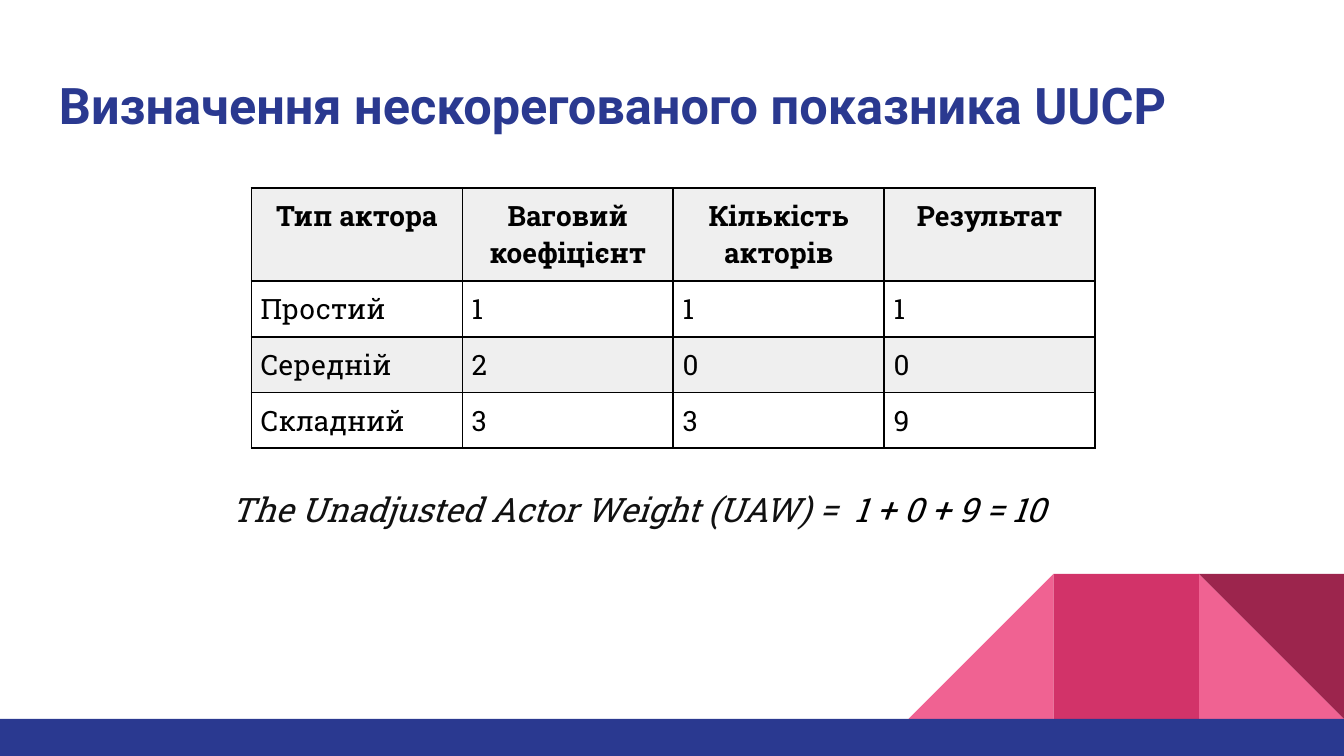
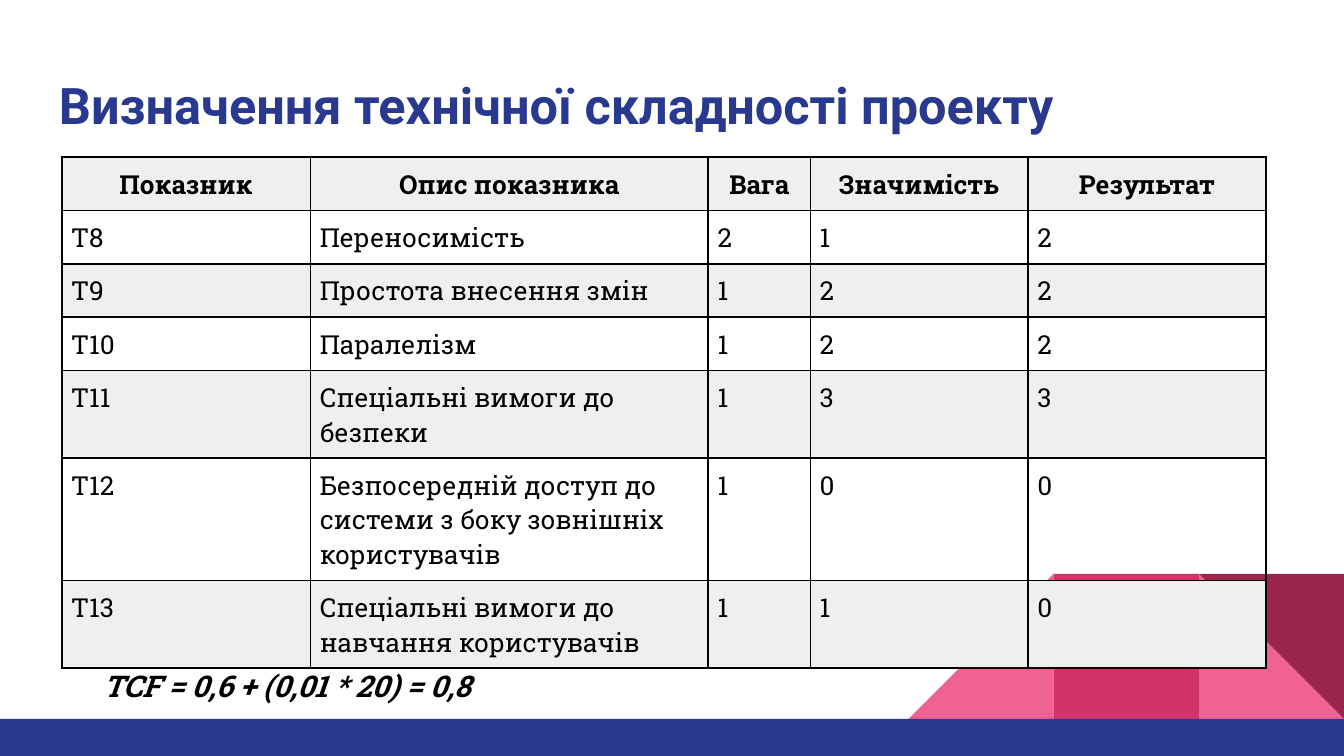
from dataclasses import dataclass

from lxml import etree
from pptx import Presentation
from pptx.dml.color import RGBColor
from pptx.enum.shapes import MSO_SHAPE
from pptx.enum.text import PP_ALIGN
from pptx.oxml.ns import qn
from pptx.slide import Slide
from pptx.table import _Cell
from pptx.text.text import _Paragraph
from pptx.util import Emu, Inches, Pt

RECTANGLE = MSO_SHAPE.RECTANGLE
TRIANGLE = MSO_SHAPE.RIGHT_TRIANGLE
CENTER, LEFT = PP_ALIGN.CENTER, PP_ALIGN.LEFT

COLORS = {
    "background": "FFFFFF",
    "navy": "2A3990",
    "pink": "F06292",
    "rose": "D23369",
    "wine": "9C254D",
    "band": "EFEFEF",
    "black": "000000",
    "ink": "111111",
}
TITLE_FONT, BODY_FONT = "Roboto", "Roboto Slab"

SLIDE_WIDTH, SLIDE_HEIGHT = Inches(10), Inches(5.625)
CELL_MARGIN = Inches(0.07)
BORDER_WIDTH = Pt(1)
LINE_FACTOR = 1.32  # line height of the body font, relative to its size

# Decoration grid, in percent of the slide: three columns above the footer.
FOOTER_TOP = 95.1
BLOCK_WIDTH, BLOCK_HEIGHT = 10.8, 19.2


@dataclass(frozen=True)
class Box:
    """A place on the slide, in percent of its width and height."""
    left: float
    top: float
    width: float
    height: float

    def emu(self) -> tuple[Emu, Emu, Emu, Emu]:
        return (across(self.left), down(self.top),
                across(self.width), down(self.height))


@dataclass(frozen=True)
class Block:
    column: int
    preset: MSO_SHAPE
    color: str
    rotation: int = 0


@dataclass(frozen=True)
class TextStyle:
    font: str
    size: float
    color: str = "black"
    bold: bool = False
    italic: bool = False


@dataclass(frozen=True)
class TextPart:
    text: str
    style: TextStyle


@dataclass(frozen=True)
class TableSpec:
    """Place and column widths in percent; lines counts text lines per row."""
    left: float
    top: float
    columns: tuple[float, ...]
    size: float
    lines: tuple[int, ...]
    rows: tuple[tuple[str, ...], ...]


@dataclass(frozen=True)
class SlideSpec:
    title: str
    table: TableSpec
    formula_box: Box
    formula: tuple[TextPart, ...]


TITLE_BOX = Box(3.4, 8, 93.2, 11.73)
TITLE_STYLE = TextStyle(TITLE_FONT, 27, "navy", bold=True)

BLOCKS = (
    Block(2, TRIANGLE, "pink"),
    Block(0, TRIANGLE, "pink", rotation=270),
    Block(1, RECTANGLE, "rose"),
    Block(2, TRIANGLE, "wine", rotation=180),
)

SLIDES = (
    SlideSpec(
        title="Визначення нескорегованого показника UUCP",
        table=TableSpec(
            left=18.7, top=24.9, columns=(15.7,) * 4, size=15,
            lines=(2, 1, 1, 1),
            rows=(
                ("Тип актора", "Ваговий коефіцієнт", "Кількість акторів", "Результат"),
                ("Простий", "1", "1", "1"),
                ("Середній", "2", "0", "0"),
                ("Складний", "3", "3", "9"),
            ),
        ),
        formula_box=Box(16.2, 62.04, 67.6, 8.9),
        formula=(
            TextPart("The Unadjusted Actor Weight (UAW) = ",
                     TextStyle(BODY_FONT, 18, "ink", italic=True)),
            TextPart(" 1 + 0 + 9 = 10", TextStyle(BODY_FONT, 18, italic=True)),
        ),
    ),
    SlideSpec(
        title="Визначення технічної складності проекту",
        table=TableSpec(
            left=4.6, top=20.8, columns=(18.5, 29.6, 7.6, 16.2, 17.7), size=14,
            lines=(1, 1, 1, 1, 2, 3, 2),
            rows=(
                ("Показник", "Опис показника", "Вага", "Значимість", "Результат"),
                ("T8", "Переносимість", "2", "1", "2"),
                ("T9", "Простота внесення змін", "1", "2", "2"),
                ("T10", "Паралелізм", "1", "2", "2"),
                ("T11", "Спеціальні вимоги до безпеки", "1", "3", "3"),
                ("T12", "Безпосередній доступ до системи з боку зовнішніх користувачів",
                 "1", "0", "0"),
                ("T13", "Спеціальні вимоги до навчання користувачів", "1", "1", "0"),
            ),
        ),
        formula_box=Box(6.7, 85.87, 38.5, 8.36),
        formula=(
            TextPart("TCF = 0,6 + (0,01 * 20) = 0,8",
                     TextStyle(BODY_FONT, 16, bold=True, italic=True)),
        ),
    ),
)


def across(percent: float) -> Emu:
    return Emu(round(SLIDE_WIDTH * percent / 100))


def down(percent: float) -> Emu:
    return Emu(round(SLIDE_HEIGHT * percent / 100))


def rgb(name: str) -> RGBColor:
    return RGBColor.from_string(COLORS[name])


def add_run(paragraph: _Paragraph, part: TextPart) -> None:
    run = paragraph.add_run()
    run.text = part.text
    font = run.font
    font.name = part.style.font
    font.size = Pt(part.style.size)
    font.bold = part.style.bold
    font.italic = part.style.italic
    font.color.rgb = rgb(part.style.color)


def add_text(slide: Slide, box: Box, parts: tuple[TextPart, ...],
             line_spacing: float = 1.0) -> None:
    frame = slide.shapes.add_textbox(*box.emu()).text_frame
    frame.word_wrap = True
    frame.margin_left = frame.margin_right = Inches(0.1)
    frame.margin_top = frame.margin_bottom = Inches(0.1)
    paragraph = frame.paragraphs[0]
    paragraph.line_spacing = line_spacing
    for part in parts:
        add_run(paragraph, part)


def add_filled_shape(slide: Slide, preset: MSO_SHAPE, box: Box, color: str,
                     rotation: int = 0) -> None:
    shape = slide.shapes.add_shape(preset, *box.emu())
    shape.shadow.inherit = False
    shape.fill.solid()
    shape.fill.fore_color.rgb = rgb(color)
    shape.line.fill.background()
    shape.rotation = rotation


def add_decoration(slide: Slide) -> None:
    for block in BLOCKS:
        box = Box(100 - (3 - block.column) * BLOCK_WIDTH,
                  FOOTER_TOP - BLOCK_HEIGHT, BLOCK_WIDTH, BLOCK_HEIGHT)
        add_filled_shape(slide, block.preset, box, block.color, block.rotation)
    footer = Box(0, FOOTER_TOP, 100, 100 - FOOTER_TOP)
    add_filled_shape(slide, RECTANGLE, footer, "navy")


def add_borders(cell: _Cell) -> None:
    """Must run before the cell is filled, as lines precede the fill in XML."""
    properties = cell._tc.get_or_add_tcPr()
    for side in ("a:lnL", "a:lnR", "a:lnT", "a:lnB"):
        line = etree.SubElement(properties, qn(side), w=str(BORDER_WIDTH))
        fill = etree.SubElement(line, qn("a:solidFill"))
        etree.SubElement(fill, qn("a:srgbClr"), val=COLORS["black"])


def format_cell(cell: _Cell, text: str, row: int, size: float) -> None:
    is_header = row == 0
    cell.margin_left = cell.margin_right = CELL_MARGIN
    cell.margin_top = cell.margin_bottom = CELL_MARGIN
    add_borders(cell)
    if row % 2 == 0:
        cell.fill.solid()
        cell.fill.fore_color.rgb = rgb("band")
    else:
        cell.fill.background()
    paragraph = cell.text_frame.paragraphs[0]
    paragraph.alignment = CENTER if is_header else LEFT
    add_run(paragraph, TextPart(text, TextStyle(BODY_FONT, size, bold=is_header)))


def add_data_table(slide: Slide, spec: TableSpec) -> None:
    heights = [2 * CELL_MARGIN + Pt(spec.size * LINE_FACTOR * count)
               for count in spec.lines]
    table = slide.shapes.add_table(
        len(spec.rows), len(spec.columns), across(spec.left), down(spec.top),
        across(sum(spec.columns)), Emu(sum(heights))).table
    table.first_row = False
    table.horz_banding = False
    for column, width in zip(table.columns, spec.columns):
        column.width = across(width)
    for row_index, (height, texts) in enumerate(zip(heights, spec.rows)):
        table.rows[row_index].height = Emu(height)
        for column_index, text in enumerate(texts):
            format_cell(table.cell(row_index, column_index), text,
                        row_index, spec.size)


def add_content_slide(presentation: Presentation, spec: SlideSpec) -> None:
    slide = presentation.slides.add_slide(presentation.slide_layouts[6])
    slide.background.fill.solid()
    slide.background.fill.fore_color.rgb = rgb("background")
    add_decoration(slide)
    add_text(slide, TITLE_BOX, (TextPart(spec.title, TITLE_STYLE),))
    add_data_table(slide, spec.table)
    add_text(slide, spec.formula_box, spec.formula, line_spacing=1.15)


def main() -> None:
    presentation = Presentation()
    presentation.slide_width = SLIDE_WIDTH
    presentation.slide_height = SLIDE_HEIGHT
    for spec in SLIDES:
        add_content_slide(presentation, spec)
    presentation.save("out.pptx")


if __name__ == "__main__":
    main()
